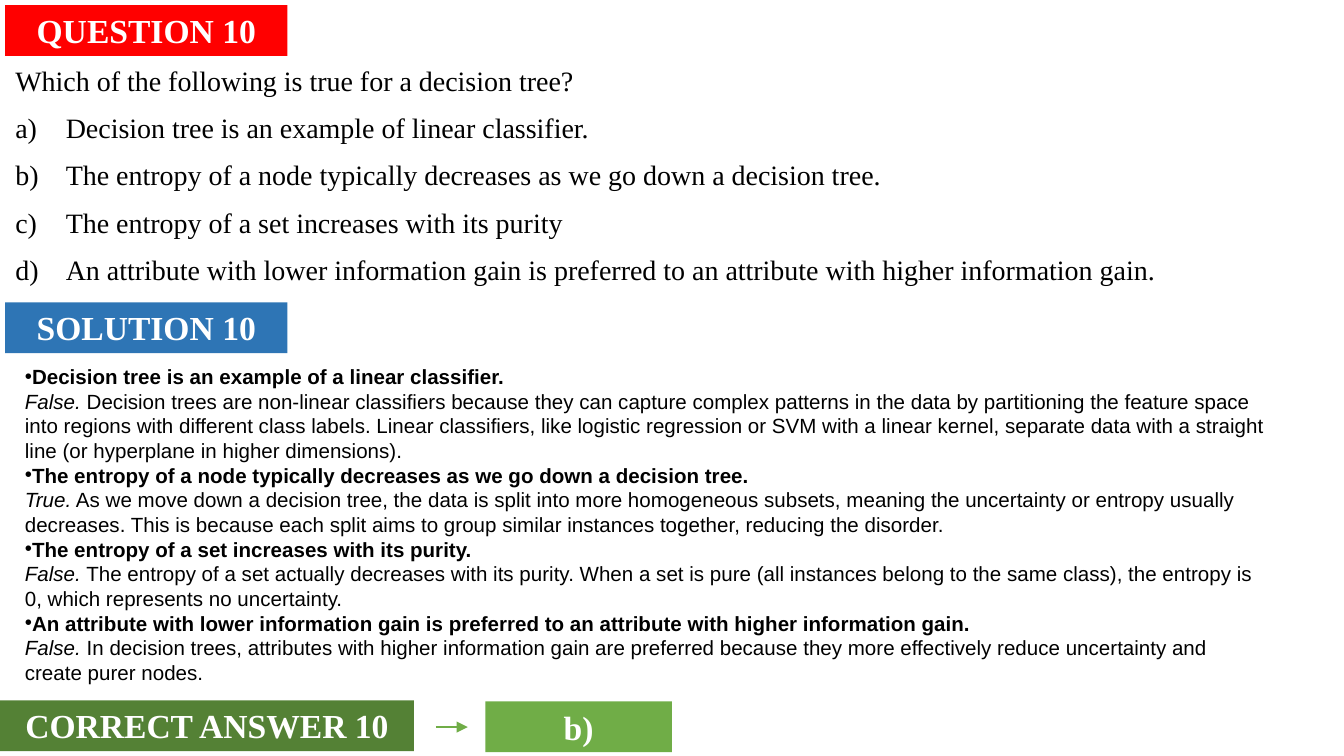
from dataclasses import dataclass

from lxml import etree
from pptx import Presentation
from pptx.dml.color import RGBColor
from pptx.enum import shapes, text
from pptx.oxml import ns
from pptx.util import Pt

RED = RGBColor(0xFF, 0x00, 0x00)
BLUE = RGBColor(0x2E, 0x75, 0xB5)
DARK = RGBColor(0x54, 0x81, 0x35)
GREEN = RGBColor(0x70, 0xAD, 0x47)
WHITE = RGBColor(0xFF, 0xFF, 0xFF)
BLACK = RGBColor(0x00, 0x00, 0x00)
SERIF = "Times New Roman"
SANS = "Arial"


@dataclass
class Box:
    left: float
    top: float
    width: float
    height: float


@dataclass
class Label:
    words: str
    box: Box
    fill: RGBColor


@dataclass
class Reason:
    claim: str
    verdict: str
    why: str


HEAD = Label("QUESTION 10", Box(2.8, 2.8, 151.2, 27.2), RED)
LABELS = [
    Label("SOLUTION 10", Box(2.8, 162, 151.2, 27.2), BLUE),
    Label("CORRECT ANSWER 10", Box(0, 375.2, 221.8, 27.2), DARK),
    Label("b)", Box(260, 375.8, 100, 27.2), GREEN),
]
ASK = "Which of the following is true for a decision tree?"
CHOICES = [
    "Decision tree is an example of linear classifier.",
    "The entropy of a node typically decreases as we go down a decision tree.",
    "The entropy of a set increases with its purity",
    "An attribute with lower information gain is preferred to an attribute with higher information gain.",
]
REASONS = [
    Reason(
        "Decision tree is an example of a linear classifier.",
        "False.",
        " Decision trees are non-linear classifiers because they can capture complex patterns in the data by "
        "partitioning the feature space into regions with different class labels. Linear classifiers, like "
        "logistic regression or SVM with a linear kernel, separate data with a straight line (or hyperplane "
        "in higher dimensions).",
    ),
    Reason(
        "The entropy of a node typically decreases as we go down a decision tree.",
        "True.",
        " As we move down a decision tree, the data is split into more homogeneous subsets, meaning the "
        "uncertainty or entropy usually decreases. This is because each split aims to group similar instances "
        "together, reducing the disorder.",
    ),
    Reason(
        "The entropy of a set increases with its purity.",
        "False.",
        " The entropy of a set actually decreases with its purity. When a set is pure (all instances belong "
        "to the same class), the entropy is 0, which represents no uncertainty.",
    ),
    Reason(
        "An attribute with lower information gain is preferred to an attribute with higher information gain.",
        "False.",
        " In decision trees, attributes with higher information gain are preferred because they more "
        "effectively reduce uncertainty and create purer nodes.",
    ),
]


def place(shape, box: Box, anchor) -> None:
    shape.left, shape.top = Pt(box.left), Pt(box.top)
    shape.width, shape.height = Pt(box.width), Pt(box.height)
    frame = shape.text_frame
    frame.word_wrap = True
    frame.auto_size = text.MSO_AUTO_SIZE.NONE
    frame.vertical_anchor = anchor
    frame.margin_left = frame.margin_right = Pt(5.4)
    frame.margin_top = frame.margin_bottom = Pt(2.7)


def style(para, name: str, size: float, color: RGBColor) -> None:
    para.font.name = name
    para.font.size = Pt(size)
    para.font.color.rgb = color


def bullet(para, margin: float, indent: float, tag: str, **attrs: str) -> None:
    props = para._p.get_or_add_pPr()
    props.set("marL", str(Pt(margin)))
    props.set("indent", str(Pt(indent)))
    if tag != "buNone":
        tint = etree.SubElement(props, ns.qn("a:buClr"))
        etree.SubElement(tint, ns.qn("a:srgbClr"), val=str(BLACK))
    etree.SubElement(props, ns.qn(f"a:{tag}"), **attrs)


def draw_label(shape, label: Label) -> None:
    place(shape, label.box, text.MSO_ANCHOR.TOP)
    shape.fill.solid()
    shape.fill.fore_color.rgb = label.fill
    shape.line.fill.background()
    para = shape.text_frame.paragraphs[0]
    para.text = label.words
    para.alignment = text.PP_ALIGN.CENTER
    style(para, SERIF, 18, WHITE)
    para.font.bold = True


def draw_ask(shape) -> None:
    place(shape, Box(2.8, 30.2, 710.6, 125.3), text.MSO_ANCHOR.TOP)
    frame = shape.text_frame
    for i, line in enumerate([ASK, *CHOICES]):
        para = frame.add_paragraph() if i else frame.paragraphs[0]
        para.text = line
        if i:
            bullet(para, 27, -27, "buAutoNum", type="alphaLcParenR")
        else:
            bullet(para, 0, 0, "buNone")
        para.line_spacing = 1.07
        para.space_before = Pt(6 if i else 0)
        style(para, SERIF, 15, BLACK)


def draw_reasons(shape) -> None:
    place(shape, Box(7.9, 189.4, 676.8, 182.9), text.MSO_ANCHOR.MIDDLE)
    frame = shape.text_frame
    for i, item in enumerate(REASONS):
        para = frame.add_paragraph() if i else frame.paragraphs[0]
        bullet(para, 0, -5.8, "buChar", char="•")
        para.space_before = Pt(0)
        style(para, SANS, 11, BLACK)
        claim = para.add_run()
        claim.text = item.claim
        claim.font.bold = True
        para.add_line_break()
        verdict = para.add_run()
        verdict.text = item.verdict
        verdict.font.italic = True
        para.add_run().text = item.why


def draw_arrow(slide) -> None:
    y = Pt(389.5)
    arrow = slide.shapes.add_connector(shapes.MSO_CONNECTOR.STRAIGHT, Pt(233.5), y, Pt(250.6), y)
    arrow.line.color.rgb = GREEN
    arrow.line.width = Pt(1.5)
    etree.SubElement(arrow.line._get_or_add_ln(), ns.qn("a:tailEnd"), type="triangle")
    etree.SubElement(arrow._element.spPr, ns.qn("a:effectLst"))


def main() -> None:
    deck = Presentation()
    deck.slide_width, deck.slide_height = Pt(720), Pt(405)
    slide = deck.slides.add_slide(deck.slide_layouts[3])
    title, ask, reasons = list(slide.placeholders)[:3]
    draw_label(title, HEAD)
    draw_ask(ask)
    draw_reasons(reasons)
    for label in LABELS:
        shape = slide.shapes.add_shape(shapes.MSO_SHAPE.RECTANGLE, 0, 0, 0, 0)
        shape.shadow.inherit = False
        draw_label(shape, label)
    draw_arrow(slide)
    deck.save("out.pptx")


if __name__ == "__main__":
    main()
